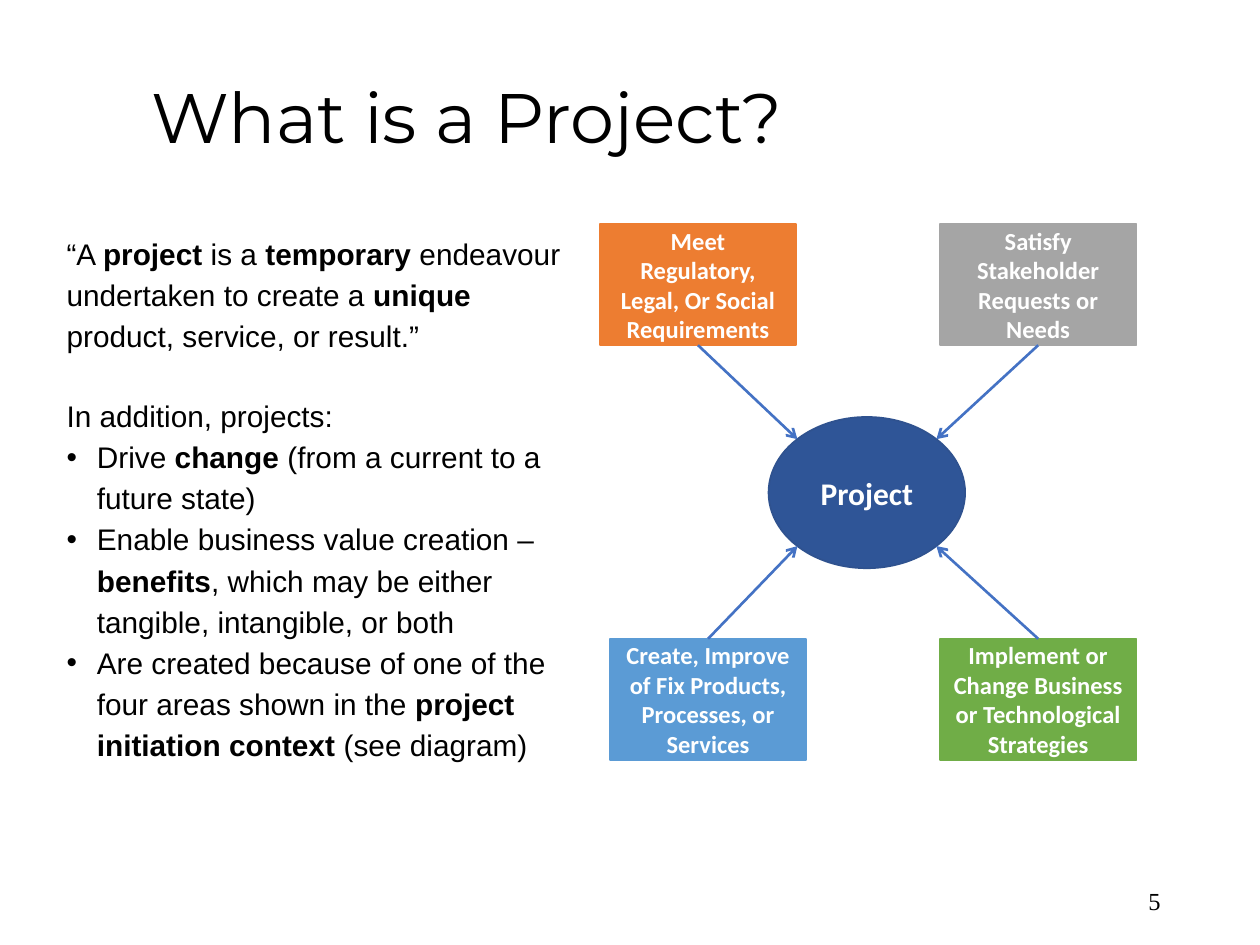
from dataclasses import dataclass
from math import sqrt

from lxml.etree import SubElement
from pptx import Presentation
from pptx.dml.color import RGBColor
from pptx.enum.shapes import MSO_CONNECTOR, MSO_SHAPE
from pptx.enum.text import MSO_ANCHOR, MSO_AUTO_SIZE, PP_ALIGN
from pptx.oxml.ns import qn
from pptx.util import Emu, Inches, Pt

CELL = Inches(0.1)  # the slide is a grid of 100 columns by 75 rows


@dataclass(frozen=True)
class Theme:
    ink: str = "000000"
    paper: str = "FFFFFF"
    core: str = "2F5597"
    edge: str = "2F528F"
    arrow: str = "4472C4"
    head: str = "Montserrat"
    body: str = "Arial"
    label: str = "Calibri"
    num: str = "Times New Roman"
    head_size: float = 40
    body_size: float = 17
    core_size: float = 18
    label_size: float = 14
    leading: float = 1.15


@dataclass(frozen=True)
class Area:
    col: float
    row: float
    cols: float
    rows: float

    def box(self) -> list[Emu]:
        return [Emu(round(n * CELL)) for n in (self.col, self.row, self.cols, self.rows)]


@dataclass(frozen=True)
class Driver:
    text: str
    color: str
    col: float
    low: bool  # below the core


@dataclass(frozen=True)
class Para:
    text: str  # bold parts stand between asterisks
    bullet: bool = False
    gap: float = 0  # blank lines above


THEME = Theme()
TITLE = Area(11, 5, 78, 9.2)
BODY = Area(4.3, 17.8, 42.5, 47.3)
NUMBER = Area(70.6, 69.5, 22.5, 4)
CORE = Area(61, 33.1, 15.6, 12)
CARD = (15.6, 9.6)
TOP, LOW = 17.8, 50.7

PARAS = [
    Para("“A *project* is a *temporary* endeavour undertaken to create a *unique* "
         "product, service, or result.”"),
    Para("In addition, projects:", gap=1),
    Para("Drive *change *(from a current to a future state)", True),
    Para("Enable business value creation – *benefits*, which may be either "
         "tangible, intangible, or both", True),
    Para("Are created because of one of the four areas shown in the "
         "*project initiation context *(see diagram)", True),
]
DRIVERS = [
    Driver("Meet Regulatory, Legal, Or Social Requirements", "ED7D31", 47.6, False),
    Driver("Satisfy Stakeholder Requests or Needs", "A5A5A5", 74.6, False),
    Driver("Create, Improve of Fix Products, Processes, or Services", "5B9BD5", 48.4, True),
    Driver("Implement or Change Business or Technological Strategies", "70AD47", 74.6, True),
]


def style(para, face: str, size: float, color: str, bold=None) -> None:
    font = para.font
    font.name, font.size, font.bold = face, Pt(size), bold
    font.color.rgb = RGBColor.from_string(color)


def add_title(slide, text: str) -> None:
    title = slide.shapes.title
    title.left, title.top, title.width, title.height = TITLE.box()
    frame = title.text_frame
    frame.text = text
    frame.auto_size = MSO_AUTO_SIZE.NONE
    frame.vertical_anchor = MSO_ANCHOR.MIDDLE
    para = frame.paragraphs[0]
    para.alignment, para.line_spacing = PP_ALIGN.LEFT, 0.9
    style(para, THEME.head, THEME.head_size, THEME.ink)


def add_bullet(para) -> None:
    props = para._p.get_or_add_pPr()
    indent = Inches(0.24)
    props.set("marL", str(indent))
    props.set("indent", str(-indent))
    SubElement(props, qn("a:buFont"), typeface=THEME.body)
    SubElement(props, qn("a:buChar"), char="•")


def add_body(slide, paras: list[Para]) -> None:
    frame = slide.shapes.add_textbox(*BODY.box()).text_frame
    frame.word_wrap = True
    for i, item in enumerate(paras):
        para = frame.add_paragraph() if i else frame.paragraphs[0]
        para.line_spacing = THEME.leading
        if item.gap:
            # Arial's natural line height is 1.15 times its size
            para.space_before = Pt(item.gap * THEME.body_size * 1.15 * THEME.leading)
        if item.bullet:
            add_bullet(para)
        style(para, THEME.body, THEME.body_size, THEME.ink)
        for j, part in enumerate(item.text.split("*")):
            run = para.add_run()
            run.text = part
            if j % 2:
                run.font.bold = True


def add_number(slide, text: str) -> None:
    frame = slide.shapes.add_textbox(*NUMBER.box()).text_frame
    frame.word_wrap = True
    frame.vertical_anchor = MSO_ANCHOR.MIDDLE
    frame.text = text
    para = frame.paragraphs[0]
    para.alignment = PP_ALIGN.RIGHT
    style(para, THEME.num, THEME.label_size, THEME.ink)


def add_node(slide, kind: MSO_SHAPE, area: Area, text: str, fill: str, line: str, size: float):
    node = slide.shapes.add_shape(kind, *area.box())
    node.shadow.inherit = False
    node.fill.solid()
    node.fill.fore_color.rgb = RGBColor.from_string(fill)
    node.line.color.rgb = RGBColor.from_string(line)
    node.line.width = Pt(1)
    frame = node.text_frame
    frame.word_wrap = True
    frame.vertical_anchor = MSO_ANCHOR.MIDDLE
    frame.text = text
    para = frame.paragraphs[0]
    para.alignment = PP_ALIGN.CENTER
    style(para, THEME.label, size, THEME.paper, True)
    return node


def add_arrow(slide, card, core, low: bool) -> None:
    """Join a card's inner edge to the nearest diagonal point of the core."""
    mid_x, mid_y = core.left + core.width // 2, core.top + core.height // 2
    side = -1 if card.left < core.left else 1
    end_x = round(mid_x + side * core.width / 2 / sqrt(2))
    end_y = round(mid_y + (1 if low else -1) * core.height / 2 / sqrt(2))
    arrow = slide.shapes.add_connector(MSO_CONNECTOR.STRAIGHT, 0, 0, end_x, end_y)
    arrow.begin_connect(card, 0 if low else 2)
    arrow.line.color.rgb = RGBColor.from_string(THEME.arrow)
    arrow.line.width = Pt(1.5)
    SubElement(arrow.line._get_or_add_ln(), qn("a:tailEnd"), type="arrow")
    SubElement(arrow._element.spPr, qn("a:effectLst"))


def main() -> None:
    deck = Presentation()
    deck.slide_width, deck.slide_height = 100 * CELL, 75 * CELL
    slide = deck.slides.add_slide(deck.slide_layouts[5])
    add_title(slide, "What is a Project?")
    add_number(slide, "5")
    add_body(slide, PARAS)
    core = add_node(slide, MSO_SHAPE.OVAL, CORE, "Project",
                    THEME.core, THEME.edge, THEME.core_size)
    for item in DRIVERS:
        area = Area(item.col, LOW if item.low else TOP, *CARD)
        card = add_node(slide, MSO_SHAPE.RECTANGLE, area, item.text,
                        item.color, item.color, THEME.label_size)
        add_arrow(slide, card, core, item.low)
    deck.save("out.pptx")


if __name__ == "__main__":
    main()
